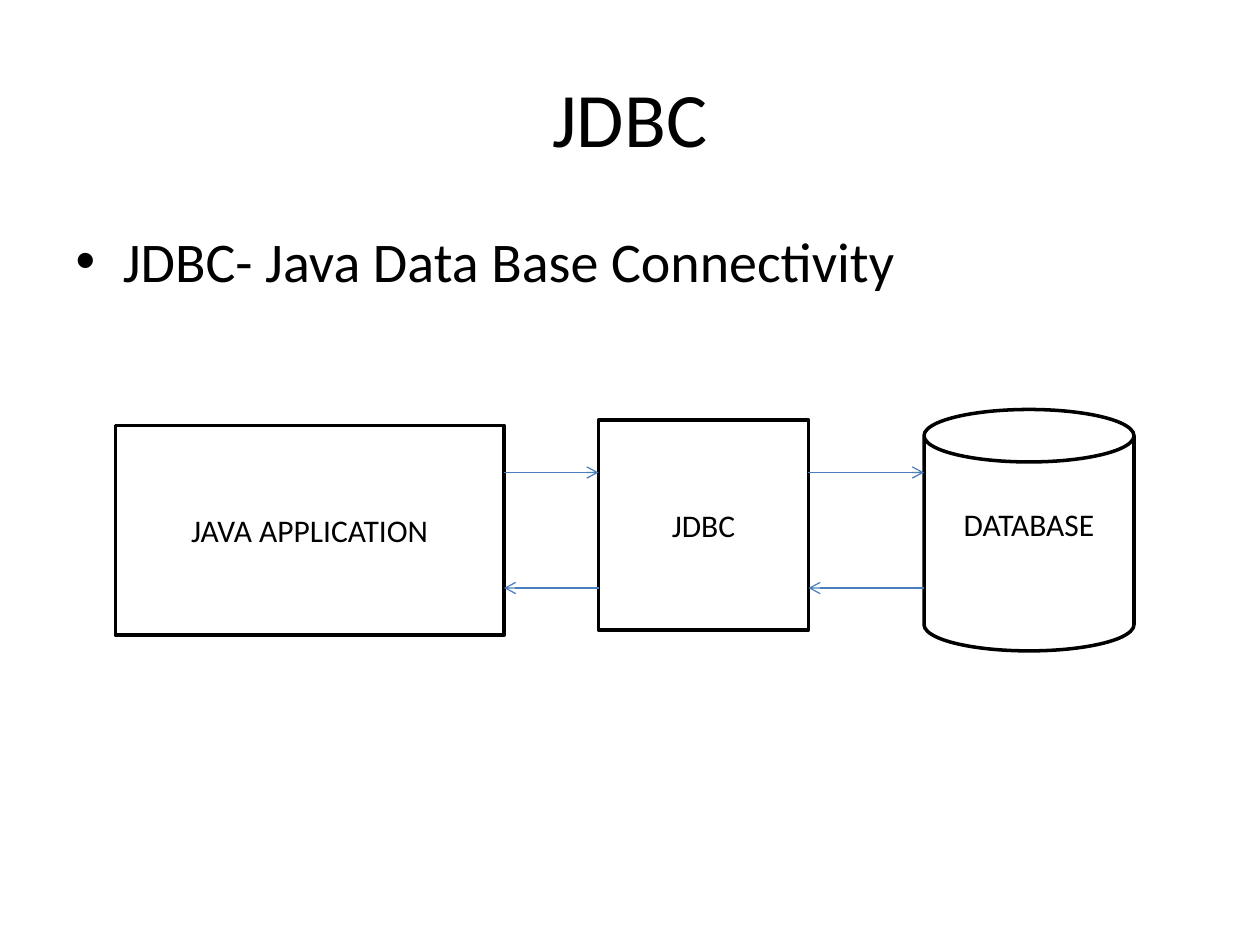
from lxml.etree import SubElement
from pptx import Presentation
from pptx.dml.color import RGBColor
from pptx.enum.shapes import MSO_CONNECTOR as Connector, MSO_SHAPE as Shape
from pptx.enum.text import MSO_ANCHOR as Anchor, PP_ALIGN as Align
from pptx.oxml.ns import qn
from pptx.util import Pt

BLACK = RGBColor(0x00, 0x00, 0x00)
WHITE = RGBColor(0xFF, 0xFF, 0xFF)
ARROW_BLUE = RGBColor(0x4B, 0x7E, 0xBC)
FONT = "Calibri"


def place(shape, left, top, width, height):
    """Move and size a shape, in points."""
    shape.left, shape.top = Pt(left), Pt(top)
    shape.width, shape.height = Pt(width), Pt(height)


def write(shape, text, size=18, color=BLACK, align=None, anchor=None):
    """Write one formatted paragraph into a shape."""
    frame = shape.text_frame
    frame.word_wrap = True
    if anchor is not None:
        frame.vertical_anchor = anchor
    paragraph = frame.paragraphs[0]
    paragraph.alignment = align
    run = paragraph.add_run()
    run.text = text
    run.font.name, run.font.size = FONT, Pt(size)
    run.font.color.rgb = color


def add_node(slide, kind, text, left, top, width, height):
    """Add an outlined, labelled part of the diagram."""
    node = slide.shapes.add_shape(kind, Pt(left), Pt(top), Pt(width), Pt(height))
    node.shadow.inherit = False
    node.fill.solid()
    node.fill.fore_color.rgb = WHITE
    node.line.color.rgb, node.line.width = BLACK, Pt(2)
    write(node, text, align=Align.CENTER, anchor=Anchor.MIDDLE)
    return node


def add_arrow(slide, start, end, y):
    """Add a horizontal arrow from start to end."""
    arrow = slide.shapes.add_connector(
        Connector.STRAIGHT, Pt(start), Pt(y), Pt(end), Pt(y))
    arrow.line.color.rgb, arrow.line.width = ARROW_BLUE, Pt(0.75)
    SubElement(arrow.line._get_or_add_ln(), qn("a:tailEnd"), type="arrow")
    SubElement(arrow._element.spPr, qn("a:effectLst"))


def add_heading(slide, left, top, width, height):
    """Place the title in its box."""
    place(slide.shapes.title, left, top, width, height)
    write(slide.shapes.title, "JDBC", size=44, align=Align.CENTER,
          anchor=Anchor.MIDDLE)


def add_body(slide, left, top, width, height):
    """Place the bulleted text in its box."""
    body = slide.placeholders[1]
    place(body, left, top, width, height)
    write(body, "JDBC- Java Data Base Connectivity", size=32)


def add_diagram(slide, left, top, width, height):
    """Draw the application, the driver and the database with their arrows."""
    side = 120
    application_right = left + 222
    driver_left = application_right + 54
    database_left = left + width - side
    add_node(slide, Shape.RECTANGLE, "JAVA APPLICATION",
             left, top + 9, application_right - left, side)
    database = add_node(slide, Shape.CAN, "DATABASE",
                        database_left, top, side, height)
    database.text_frame.margin_bottom = Pt(25.2)
    add_node(slide, Shape.RECTANGLE, "JDBC", driver_left, top + 6, side, side)
    for start, end in ((application_right, driver_left),
                       (driver_left + side, database_left)):
        add_arrow(slide, start, end, top + 36)
        add_arrow(slide, end, start, top + 102)


def main():
    """Build and save the slide."""
    presentation = Presentation()
    presentation.slide_width, presentation.slide_height = Pt(720), Pt(540)
    slide = presentation.slides.add_slide(presentation.slide_layouts[1])
    add_heading(slide, 36, 21.6, 648, 90)
    add_body(slide, 36, 126, 648, 356.4)
    add_diagram(slide, 66, 234, 582, 138)
    presentation.save("out.pptx")


main()
